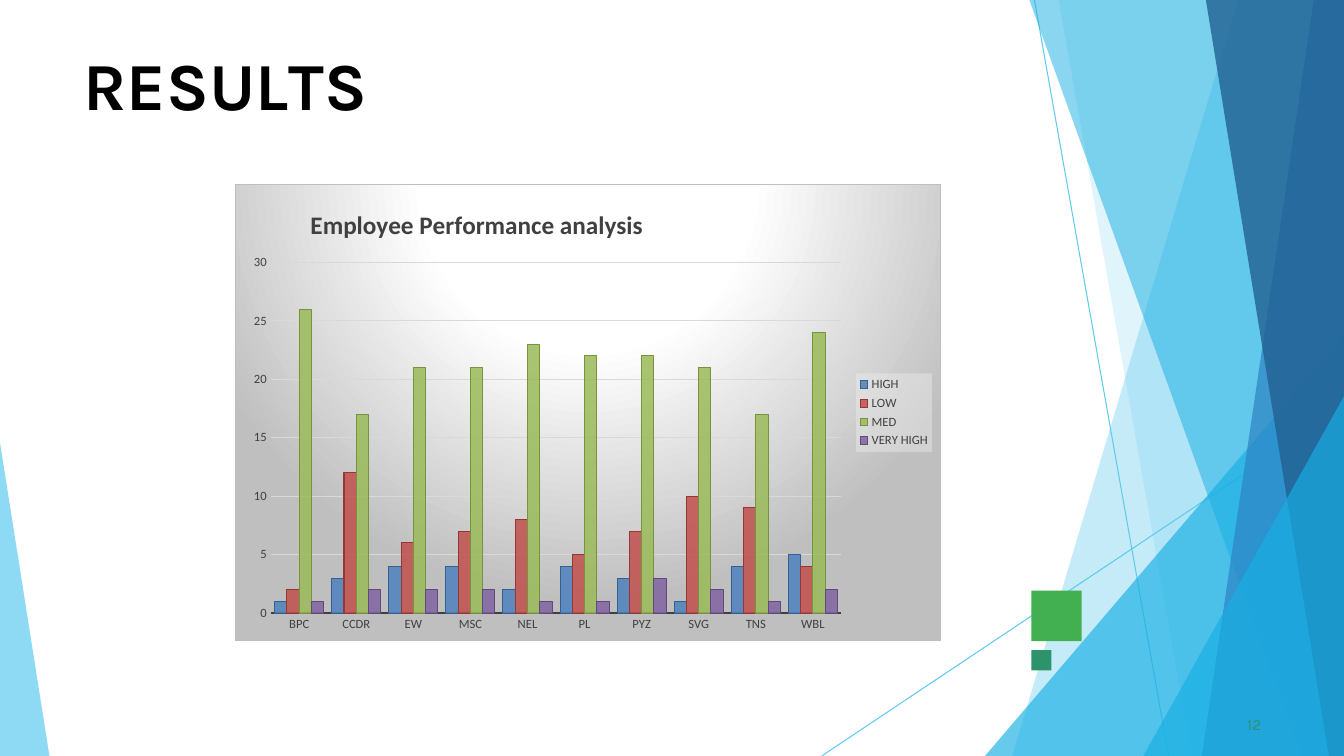
"""Build the results slide: a clustered column chart beside layered blue panels."""
from lxml import etree
from pptx import Presentation
from pptx import util as u
from pptx.chart import data
from pptx.dml import color
from pptx.enum import chart as ch, shapes, text
from pptx.oxml import ns, parse_xml

COLORS = {
    "sky": "5FCAEE", "cyan": "17AFE3", "blue": "2D83C3", "navy": "226192",
    "green": "42AF51", "teal": "2D936B", "black": "000000", "ink": "404040",
    "grid": "D9D9D9", "frame": "BFBFBF", "white": "FFFFFF", "legend": "F2F2F2",
}
RGB = {name: color.RGBColor.from_string(value) for name, value in COLORS.items()}
SPACES = ns.nsdecls("a", "c")

deck = Presentation()
deck.slide_width, deck.slide_height = u.Inches(13.33), u.Inches(7.5)
COL, ROW = deck.slide_width / 100, deck.slide_height / 100
page = deck.slides.add_slide(deck.slide_layouts[5])


def style(target, **values):
    for name, value in values.items():
        setattr(target, name, value)


def paint(fill, rgb, opacity=100):
    fill.solid()
    fill.fore_color.rgb = rgb
    if opacity < 100:
        tint = fill._xPr.find(".//" + ns.qn("a:srgbClr"))
        etree.SubElement(tint, ns.qn("a:alpha")).set("val", str(opacity * 1000))


for start, end in [((76.97, 0), (86.95, 100)), ((100, 53.87), (61.14, 100))]:
    ray = page.shapes.add_connector(
        shapes.MSO_CONNECTOR.STRAIGHT,
        int(start[0] * COL), int(start[1] * ROW), int(end[0] * COL), int(end[1] * ROW))
    style(ray.line, width=u.Pt(0.75))
    ray.line.color.rgb = RGB["sky"]
    etree.SubElement(ray.element.spPr, ns.qn("a:effectLst"))

right_panels = [
    (92.12, 0, 75.32, "sky", 36),
    (78.77, 0, 88.67, "sky", 20),
    (100, 44.4, 73.29, "cyan", 66),
    (76.59, 0, 96.85, "cyan", 50),
    (97.75, 0, 89.42, "blue", 70),
    (89.72, 0, 98.87, "navy", 80),
    (100, 52.4, 85.07, "cyan", 66),
]
panels = [([(100, top), (upper, top), (lower, 100), (100, 100)], tone, opacity)
          for upper, top, lower, tone, opacity in right_panels]
panels.append(([(0, 58.53), (0, 100), (3.68, 100)], "sky", 70))
for corners, tone, opacity in panels:
    points = [(int(x * COL), int(y * ROW)) for x, y in corners]
    builder = page.shapes.build_freeform(*points[0])
    builder.add_line_segments(points[1:], close=True)
    panel = builder.convert_to_shape()
    panel.shadow.inherit = False
    panel.line.fill.background()
    paint(panel.fill, RGB[tone], opacity)

for top, width, height, tone in [(78.13, 3.75, 6.67, "green"), (86, 1.5, 2.67, "teal")]:
    square = page.shapes.add_shape(
        shapes.MSO_SHAPE.RECTANGLE, int(76.74 * COL), int(top * ROW),
        int(width * COL), int(height * ROW))
    square.shadow.inherit = False
    square.line.fill.background()
    paint(square.fill, RGB[tone])

title = page.shapes.title
number = page.shapes.add_textbox(0, 0, 1, 1)
labels = [
    (title, (6.23, 5.6, 87.62, 11.07), [("RESU", 0), ("L", -400), ("TS", 0)],
     dict(size=u.Pt(48), bold=True), "black", 1.1),
    (number, (92.8, 94.4, 1.88, 2.8), [("12", 10)], dict(size=u.Pt(11)), "teal", 0.6),
]
for box, (left, top, width, height), pieces, font, tone, before in labels:
    style(box, left=int(left * COL), top=int(top * ROW),
          width=int(width * COL), height=int(height * ROW))
    frame = box.text_frame
    style(frame, margin_left=0, margin_right=0, margin_top=u.Inches(0.01),
          margin_bottom=0, word_wrap=True, vertical_anchor=text.MSO_ANCHOR.TOP,
          auto_size=text.MSO_AUTO_SIZE.SHAPE_TO_FIT_TEXT)
    para = frame.paragraphs[0]
    style(para, alignment=text.PP_ALIGN.LEFT, space_before=u.Pt(before))
    for words, spacing in pieces:
        span = para.add_run()
        span.text = words
        style(span.font, name="Karla", **font)
        span.font.color.rgb = RGB[tone]
        span.font._element.set("spc", str(spacing))

levels = [
    ("HIGH", [1, 3, 4, 4, 2, 4, 3, 1, 4, 5], "4F81BD", "376092"),
    ("LOW", [2, 12, 6, 7, 8, 5, 7, 10, 9, 4], "C0504D", "953735"),
    ("MED", [26, 17, 21, 21, 23, 22, 22, 21, 17, 24], "9BBB59", "77933C"),
    ("VERY HIGH", [1, 2, 2, 2, 1, 1, 3, 2, 1, 2], "8064A2", "604A7B"),
]
table = data.CategoryChartData()
table.categories = ["BPC", "CCDR", "EW", "MSC", "NEL", "PL", "PYZ", "SVG", "TNS", "WBL"]
for name, values, _, _ in levels:
    table.add_series(name, values)
chart = page.shapes.add_chart(
    ch.XL_CHART_TYPE.COLUMN_CLUSTERED, int(17.48 * COL), int(24.4 * ROW),
    int(52.51 * COL), int(60.4 * ROW), table).chart
style(chart, has_title=True, has_legend=True)
style(chart.legend, position=ch.XL_LEGEND_POSITION.RIGHT, include_in_layout=False)
style(chart.plots[0], gap_width=65, overlap=0, vary_by_categories=False)
for series, (_, _, face, edge) in zip(chart.plots[0].series, levels):
    paint(series.format.fill, color.RGBColor.from_string(face), 85)
    series.format.line.width = u.Pt(0.75)
    series.format.line.color.rgb = color.RGBColor.from_string(edge)

groups, scale = chart.category_axis, chart.value_axis
for axis in (groups, scale):
    style(axis, major_tick_mark=ch.XL_TICK_MARK.NONE, minor_tick_mark=ch.XL_TICK_MARK.NONE)
style(scale, minimum_scale=0, maximum_scale=30, major_unit=5, has_major_gridlines=True)
scale.format.line.fill.background()
for line, width, tone in [(groups.format.line, 1.5, "ink"),
                          (scale.major_gridlines.format.line, 0.75, "grid")]:
    line.width = u.Pt(width)
    line.color.rgb = RGB[tone]

heading = chart.chart_title.text_frame.paragraphs[0].add_run()
heading.text = "Employee Performance analysis"
fonts = [(chart.font, 10, False, "black"), (heading.font, 18, True, "ink")]
fonts += [(part.font, 9, False, "ink")
          for part in (chart.legend, groups.tick_labels, scale.tick_labels)]
for font, size, bold, tone in fonts:
    style(font, name="Calibri", size=u.Pt(size), bold=bold)
    font.color.rgb = RGB[tone]

root = chart.element
placements = [
    ("c:title", 1, dict(x=0.1, y=0.04)),
    ("c:plotArea", 0, dict(x=0.05, y=0.17, w=0.81, h=0.77)),
]
for tag, position, shares in placements:
    holder = root.find(".//" + ns.qn(tag))
    for old in holder.findall(ns.qn("c:layout")):
        holder.remove(old)
    inner = '<c:layoutTarget val="inner"/>' if "w" in shares else ""
    modes = "".join(f'<c:{axis}Mode val="edge"/>' for axis in "xy")
    sizes = "".join(f'<c:{key} val="{share}"/>' for key, share in shares.items())
    holder.insert(position, parse_xml(
        f"<c:layout {SPACES}><c:manualLayout>{inner}{modes}{sizes}</c:manualLayout></c:layout>"))

stops = "".join(f'<a:gs pos="{at * 1000}"><a:srgbClr val="{COLORS[tone]}"/></a:gs>'
                for at, tone in [(0, "white"), (39, "white"), (100, "frame")])
root.find(ns.qn("c:chart")).addnext(parse_xml(
    f'<c:spPr {SPACES}><a:gradFill><a:gsLst>{stops}</a:gsLst><a:path path="circle">'
    '<a:fillToRect l="50000" t="-80000" r="50000" b="180000"/></a:path></a:gradFill>'
    f'<a:ln w="9525"><a:solidFill><a:srgbClr val="{COLORS["frame"]}"/></a:solidFill></a:ln>'
    "</c:spPr>"))
root.find(".//" + ns.qn("c:legend")).find(ns.qn("c:overlay")).addnext(parse_xml(
    f'<c:spPr {SPACES}><a:solidFill><a:srgbClr val="{COLORS["legend"]}">'
    '<a:alpha val="39000"/></a:srgbClr></a:solidFill></c:spPr>'))

deck.save("out.pptx")
